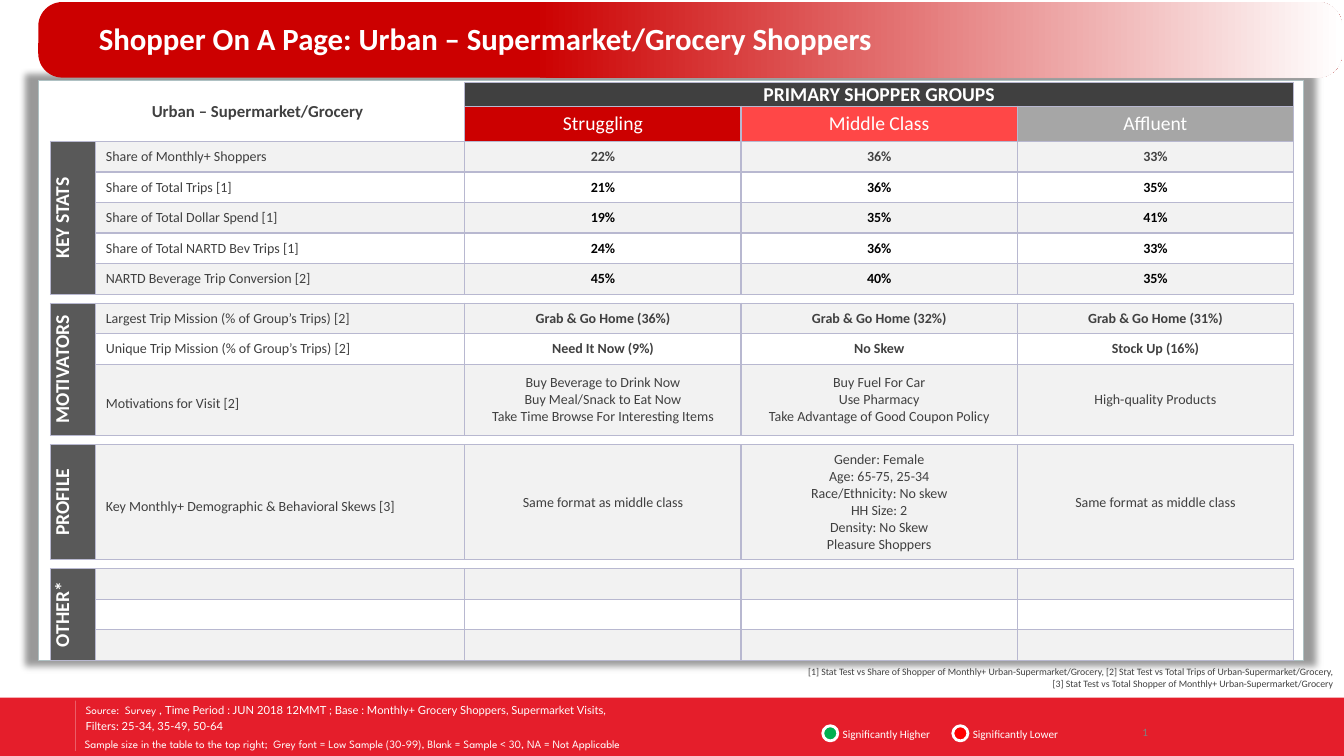
from dataclasses import dataclass

import lxml.etree
import pptx
import pptx.dml.color
import pptx.enum.shapes
import pptx.enum.text
import pptx.oxml
import pptx.oxml.ns
import pptx.util

Inches, Pt = pptx.util.Inches, pptx.util.Pt
SHAPE = pptx.enum.shapes.MSO_SHAPE
ALIGN = pptx.enum.text.PP_ALIGN
ANCHOR = pptx.enum.text.MSO_ANCHOR
qn = pptx.oxml.ns.qn


@dataclass(frozen=True)
class Theme:
    """Colours, fonts and type sizes of the slide."""
    white: str = "FFFFFF"
    black: str = "000000"
    red: str = "CC0000"
    coral: str = "FF4747"
    silver: str = "A6A6A6"
    footer: str = "E51E2B"
    higher: str = "00B050"
    lower: str = "FF0000"
    ink: str = "404040"
    section: str = "595959"
    band: str = "F2F2F2"
    grid: str = "B8B8D0"
    frame: str = "AFC1C3"
    number: str = "808080"
    font: str = "Calibri"
    source_font: str = "League Spartan"
    detail_font: str = "Lato"
    title: int = 22
    heading: int = 14
    corner: int = 12
    body: int = 10
    small: int = 8
    note: int = 7


T = Theme()
BODY_ROW = None  # marks a row that shares the height left over
HEIGHTS = {"banner": 0.23, "groups": 0.35, "gap": 0.09, "motives": 0.71, "profile": 1.14}
TABLE_HEIGHT = 5.73
SAME = "Same format as middle class"
GROUPS = [("Struggling", T.red), ("Middle Class", T.coral), ("Affluent", T.silver)]
# Section: rows of (height key, label, values, bold, value colour)
SECTIONS = [
    ("KEY STATS", [
        (BODY_ROW, "Share of Monthly+ Shoppers", ["22%", "36%", "33%"], True, T.ink),
        (BODY_ROW, "Share of Total Trips [1]", ["21%", "36%", "35%"], True, T.black),
        (BODY_ROW, "Share of Total Dollar Spend [1]", ["19%", "35%", "41%"], True, T.black),
        (BODY_ROW, "Share of Total NARTD Bev Trips [1]", ["24%", "36%", "33%"], True, T.black),
        (BODY_ROW, "NARTD Beverage Trip Conversion [2]", ["45%", "40%", "35%"], True, T.black)]),
    ("MOTIVATORS", [
        (BODY_ROW, "Largest Trip Mission (% of Group’s Trips) [2]",
         ["Grab & Go Home (36%)", "Grab & Go Home (32%)", "Grab & Go Home (31%)"], True, T.ink),
        (BODY_ROW, "Unique Trip Mission (% of Group’s Trips) [2]",
         ["Need It Now (9%)", "No Skew", "Stock Up (16%)"], True, T.ink),
        ("motives", "Motivations for Visit [2]",
         ["Buy Beverage to Drink Now\nBuy Meal/Snack to Eat Now\n"
          "Take Time Browse For Interesting Items",
          "Buy Fuel For Car\nUse Pharmacy\nTake Advantage of Good Coupon Policy",
          "High-quality Products"], False, T.ink)]),
    ("PROFILE", [
        ("profile", "Key Monthly+ Demographic & Behavioral Skews [3]",
         [SAME, "Gender: Female\nAge: 65-75, 25-34\nRace/Ethnicity: No skew\nHH Size: 2\n"
          "Density: No Skew\nPleasure Shoppers", SAME], False, T.ink)]),
    ("OTHER*", [(BODY_ROW, "", ["", "", ""], False, T.ink)] * 3),
]


def rgb(code):
    """Return the colour for a hex code."""
    return pptx.dml.color.RGBColor.from_string(code)


def fill_text(tf, text, size, color, bold=False, align=ALIGN.LEFT, font=T.font):
    """Write text, one paragraph a line, in a single style."""
    tf.text = text
    for p in tf.paragraphs:
        p.alignment = align
        p.font.name, p.font.size, p.font.bold = font, Pt(size), bold
        p.font.color.rgb = rgb(color)
        if not p.text:
            lxml.etree.SubElement(p._p, qn("a:endParaRPr")).set("sz", str(size * 100))


def add_text(s, box, text, size, color, anchor=ANCHOR.MIDDLE, **style):
    """Add a wrapping text box and return its text frame."""
    tf = s.shapes.add_textbox(*map(Inches, box)).text_frame
    tf.word_wrap = True
    tf.vertical_anchor = anchor
    fill_text(tf, text, size, color, **style)
    return tf


def add_block(s, kind, box, fill, line=None, width=1):
    """Add a preset shape without shadow."""
    sp = s.shapes.add_shape(kind, *map(Inches, box))
    sp.shadow.inherit = False
    sp.fill.solid()
    sp.fill.fore_color.rgb = rgb(fill)
    if line:
        sp.line.color.rgb = rgb(line)
        sp.line.width = Pt(width)
    else:
        sp.line.fill.background()
    return sp


def add_legend(s, x, label, color):
    """Add a ringed dot and its meaning."""
    add_text(s, (x + 0.1, 7.18, 1.2, 0.2), label, T.small, T.white)
    add_block(s, SHAPE.OVAL, (x, 7.2, 0.15, 0.15), color, T.white, 2)


def add_footer(s):
    """Add the footer bar with source, legend and slide number."""
    add_block(s, SHAPE.RECTANGLE, (-0.01, 6.92, 13.35, 0.59), T.footer)
    tf = add_text(s, (0.75, 6.93, 6.51, 0.38), "Source:  Survey , \nFilters: 25-34, 35-49, 50-64",
                  T.small, T.white, font=T.source_font)
    first, second = tf.paragraphs
    r = first.add_run()
    r.text = ("Time Period : JUN 2018 12MMT ; Base : Monthly+ Grocery Shoppers, "
              "Supermarket Visits,")
    r.font.name = second.font.name = T.detail_font
    second.space_before = Pt(1.6)
    add_text(s, (0.74, 7.22, 7.45, 0.33),
             "Sample size in the table to the top right;  Grey font = Low Sample (30-99), "
             "Blank = Sample < 30, NA = Not Applicable", T.small, T.white, font=T.source_font)
    add_legend(s, 8.16, "Significantly Higher", T.higher)
    add_legend(s, 9.45, "Significantly Lower", T.lower)
    rule = s.shapes.add_connector(pptx.enum.shapes.MSO_CONNECTOR.STRAIGHT,
                                  *map(Inches, (0.75, 6.95, 0.75, 7.45)))
    rule.line.color.rgb = rgb(T.white)
    rule.line.width = Pt(0.5)
    color = rule._element.spPr.find(".//" + qn("a:srgbClr"))
    lxml.etree.SubElement(color, qn("a:alpha")).set("val", "43000")
    lxml.etree.SubElement(rule._element.spPr, qn("a:effectLst"))
    tf = add_text(s, (11.33, 7.2, 0.04, 0.13), "1", T.small, T.number)
    tf.word_wrap = False
    tf.margin_left = tf.margin_right = tf.margin_top = tf.margin_bottom = 0


def add_frame(s):
    """Add the white panel with a soft shadow around it."""
    sp = add_block(s, SHAPE.RECTANGLE, (0.38, 0.8, 12.55, 5.75), T.white, T.frame, 0.75)
    sp._element.spPr.find(qn("a:effectLst")).append(pptx.oxml.parse_xml(
        f'<a:outerShdw {pptx.oxml.ns.nsdecls("a")} blurRad="63500" sx="102000" sy="102000" '
        'algn="ctr" rotWithShape="0"><a:srgbClr val="000000"><a:alpha val="40000"/>'
        '</a:srgbClr></a:outerShdw>'))


def set_cell(cell, text="", size=T.body, color=T.ink, fill=T.white, sides="LRTB",
             indent=0, **style):
    """Fill a table cell and draw the named borders."""
    cell.fill.solid()
    cell.fill.fore_color.rgb = rgb(fill)
    cell.vertical_anchor = ANCHOR.MIDDLE
    cell.margin_left = Inches(indent)
    cell.margin_right = cell.margin_top = cell.margin_bottom = 0
    fill_text(cell.text_frame, text, size, color, **style)
    tc_pr = cell._tc.get_or_add_tcPr()
    for i, side in enumerate("LRTB"):
        paint = (f'<a:solidFill><a:srgbClr val="{T.grid}"/></a:solidFill>'
                 if side in sides else "<a:noFill/>")
        tc_pr.insert(i, pptx.oxml.parse_xml(
            f'<a:ln{side} {pptx.oxml.ns.nsdecls("a")} w="12700">{paint}</a:ln{side}>'))


def add_shopper_table(s):
    """Add the table of shopper groups, section by section."""
    keys = ["banner", "groups"]
    for i, (_, rows) in enumerate(SECTIONS):
        keys += (["gap"] if i else []) + [row[0] for row in rows]
    fixed = sum(HEIGHTS[k] for k in keys if k)
    spare = (TABLE_HEIGHT - fixed) / keys.count(BODY_ROW)
    tbl = s.shapes.add_table(len(keys), 5, *map(Inches, (0.5, 0.82, 12.33, TABLE_HEIGHT))).table
    tbl.first_row = tbl.horz_banding = False
    for col, width in zip(tbl.columns, (0.45, 3.66, 2.74, 2.74, 2.74)):
        col.width = Inches(width)
    for row, key in zip(tbl.rows, keys):
        row.height = Inches(HEIGHTS.get(key, spare))

    center = {"align": ALIGN.CENTER}
    for y in range(2):
        for x in range(2):
            text = "" if x or y else "Urban – Supermarket/Grocery"
            set_cell(tbl.cell(y, x), text, T.corner, sides="RB", bold=True, **center)
    tbl.cell(0, 0).merge(tbl.cell(1, 1))
    for x, (name, color) in enumerate(GROUPS, 2):
        banner = "PRIMARY SHOPPER GROUPS" if x == 2 else ""
        set_cell(tbl.cell(0, x), banner, T.heading, T.white, T.ink, bold=True, **center)
        set_cell(tbl.cell(1, x), name, T.heading, T.white, color, **center)
    tbl.cell(0, 2).merge(tbl.cell(0, 4))

    y = 2
    for section, rows in SECTIONS:
        if y > 2:
            for x in range(5):
                set_cell(tbl.cell(y, x), size=1, sides="TB")
            y += 1
        for i, (key, label, values, bold, color) in enumerate(rows):
            fill = T.white if i % 2 else T.band
            set_cell(tbl.cell(y + i, 0), "" if i else section, T.heading, T.white, T.section,
                     bold=True, **center)
            set_cell(tbl.cell(y + i, 1), label, fill=fill, indent=0.1)
            if key:
                tbl.cell(y + i, 1).text_frame.paragraphs[0].line_spacing = 1.5
            for x, value in enumerate(values, 2):
                set_cell(tbl.cell(y + i, x), value, color=color, fill=fill, bold=bold, **center)
        head = tbl.cell(y, 0)
        head._tc.get_or_add_tcPr().set("vert", "vert270")
        if len(rows) > 1:
            head.merge(tbl.cell(y + len(rows) - 1, 0))
        y += len(rows)


def add_title(s, text):
    """Add the fading title band and set the title on top of it."""
    band = add_block(s, SHAPE.ROUNDED_RECTANGLE, (0.38, 0.02, 12.93, 0.75), T.red)
    band.adjustments[0] = 0.32
    band.fill.gradient()
    band.fill.gradient_angle = 0
    for stop, position, color in zip(band.fill.gradient_stops, (0.38, 1), (T.red, T.white)):
        stop.position = position
        stop.color.rgb = rgb(color)
    title = s.shapes.title
    title.left, title.top, title.width, title.height = map(Inches, (0.88, 0.17, 8.82, 0.44))
    fill_text(title.text_frame, text, T.title, T.white, bold=True)
    title.text_frame.vertical_anchor = ANCHOR.BOTTOM
    title.text_frame.paragraphs[0].line_spacing = 0.85
    band._element.addnext(title._element)


def main():
    """Build the slide and save it."""
    prs = pptx.Presentation()
    prs.slide_width, prs.slide_height = Inches(13.33), Inches(7.5)
    s = prs.slides.add_slide(prs.slide_layouts[5])
    add_footer(s)
    add_frame(s)
    add_shopper_table(s)
    add_title(s, "Shopper On A Page: Urban – Supermarket/Grocery Shoppers")
    add_text(s, (7.55, 6.56, 5.77, 0.34),
             "[1] Stat Test vs Share of Shopper of Monthly+ Urban-Supermarket/Grocery, "
             "[2] Stat Test vs Total Trips of Urban-Supermarket/Grocery,\n"
             "[3] Stat Test vs Total Shopper of Monthly+ Urban-Supermarket/Grocery",
             T.note, T.ink, anchor=ANCHOR.TOP, align=ALIGN.RIGHT)
    prs.save("out.pptx")


if __name__ == "__main__":
    main()
